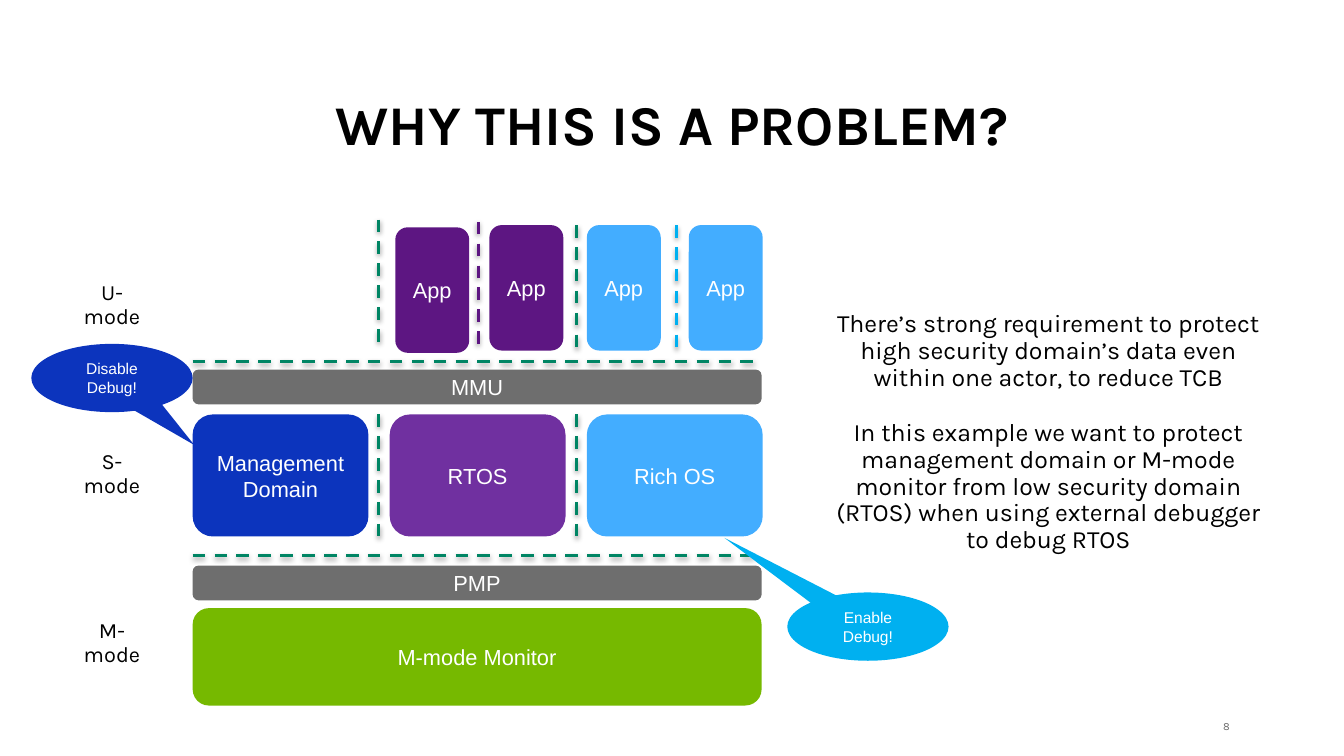
from lxml import etree
from pptx import Presentation
from pptx.dml.color import RGBColor
from pptx.enum.dml import MSO_LINE
from pptx.enum.shapes import MSO_CONNECTOR, MSO_SHAPE
from pptx.enum.text import MSO_ANCHOR, MSO_AUTO_SIZE, PP_ALIGN
from pptx.oxml.ns import qn
from pptx.util import Inches, Pt

ROUND = MSO_SHAPE.ROUNDED_RECTANGLE
BUBBLE = MSO_SHAPE.OVAL_CALLOUT
STRAIGHT = MSO_CONNECTOR.STRAIGHT
DASH = MSO_LINE.DASH
TOP, MIDDLE, BOTTOM = MSO_ANCHOR.TOP, MSO_ANCHOR.MIDDLE, MSO_ANCHOR.BOTTOM
CENTER, RIGHT = PP_ALIGN.CENTER, PP_ALIGN.RIGHT
NO_FIT = MSO_AUTO_SIZE.NONE

BLACK = RGBColor(0x00, 0x00, 0x00)
WHITE = RGBColor(0xFF, 0xFF, 0xFF)
GRAY = RGBColor(0x6E, 0x6E, 0x6E)
GREEN = RGBColor(0x76, 0xB9, 0x00)
TEAL = RGBColor(0x00, 0x85, 0x64)
BLUE = RGBColor(0x0C, 0x34, 0xBD)
SKY = RGBColor(0x43, 0xAD, 0xFF)
CYAN = RGBColor(0x00, 0xB0, 0xF0)
VIOLET = RGBColor(0x70, 0x30, 0xA0)
PLUM = RGBColor(0x5D, 0x16, 0x82)


class Board:
    head = {"name": "Karla", "size": Pt(36), "bold": True, "color": BLACK}
    prose = {"name": "Karla", "size": Pt(16), "color": BLACK}
    label = {"name": "Karla", "size": Pt(14), "color": BLACK}
    small = {"name": "Karla", "size": Pt(7), "color": GRAY}
    block = {"name": "Arial", "size": Pt(14), "color": WHITE}
    note = {"name": "Arial", "size": Pt(10), "color": WHITE}

    def __init__(self, slide):
        self.slide = slide

    def letter(self, shape, text, style, anchor=MIDDLE, align=CENTER, pitch=None, gap=0, inset=True):
        frame = shape.text_frame
        form = {"word_wrap": True, "auto_size": NO_FIT, "vertical_anchor": anchor}
        for side, size in (("left", 0.1), ("right", 0.1), ("top", 0.05), ("bottom", 0.05)):
            form[f"margin_{side}"] = Inches(size if inset else 0)
        for key, value in form.items():
            setattr(frame, key, value)
        frame.text = text
        for i, para in enumerate(frame.paragraphs):
            layout = {"alignment": align, "line_spacing": pitch, "space_before": Pt(gap if i else 0)}
            for key, value in layout.items():
                setattr(para, key, value)
            if shape.is_placeholder:
                props = para._p.get_or_add_pPr()
                props.set("marL", "0")
                props.set("indent", "0")
                etree.SubElement(props, qn("a:buNone"))
            for run in para.runs:
                for key, value in style.items():
                    if key == "color":
                        run.font.color.rgb = value
                    else:
                        setattr(run.font, key, value)

    def holder(self, index, box, text, style, anchor, gap=0):
        shape = self.slide.placeholders[index]
        for key, value in zip(("left", "top", "width", "height"), box):
            setattr(shape, key, Inches(value))
        self.letter(shape, text, style, anchor, pitch=0.9, gap=gap)

    def text(self, box, text, style, **form):
        shape = self.slide.shapes.add_textbox(*map(Inches, box))
        self.letter(shape, text, style, **form)

    def shape(self, kind, box, text, fill, style, adjust):
        shape = self.slide.shapes.add_shape(kind, *map(Inches, box))
        shape.shadow.inherit = False
        shape.fill.solid()
        shape.fill.fore_color.rgb = fill
        shape.line.fill.background()
        for i, value in enumerate(adjust):
            shape.adjustments[i] = value
        self.letter(shape, text, style)

    def card(self, box, text, fill):
        self.shape(ROUND, box, text, fill, self.block, (0.167,))

    def bubble(self, box, text, fill, tip):
        self.shape(BUBBLE, box, text, fill, self.note, tip)

    def fence(self, start, end, color):
        line = self.slide.shapes.add_connector(STRAIGHT, *map(Inches, start + end))
        line.line.color.rgb = color
        line.line.width = Pt(2)
        line.line.dash_style = DASH
        effects = etree.SubElement(line._element.spPr, qn("a:effectLst"))
        shadow = etree.SubElement(effects, qn("a:outerShdw"), blurRad="40000",
                                  dist="20000", dir="5400000", rotWithShape="0")
        shade = etree.SubElement(shadow, qn("a:srgbClr"), val="000000")
        etree.SubElement(shade, qn("a:alpha"), val="38000")


def main():
    deck = Presentation()
    deck.slide_width, deck.slide_height = Inches(12), Inches(6.75)
    board = Board(deck.slides.add_slide(deck.slide_layouts[1]))
    left, wide = 1.72, 5.08

    board.holder(0, (0.55, 0.81, 10.91, 0.65), "WHY THIS IS A PROBLEM?", board.head, BOTTOM)
    board.holder(1, (7.29, 2.73, 4.14, 2.57),
                 "There’s strong requirement to protect high security domain’s data even "
                 "within one actor, to reduce TCB\n"
                 "In this example we want to protect management domain or M-mode monitor "
                 "from low security domain (RTOS) when using external debugger to debug RTOS",
                 board.prose, TOP, gap=18)
    board.text((10.63, 6.41, 0.35, 0.15), "8", board.small, align=RIGHT, inset=False)

    for i, name in enumerate(("U-mode", "S-mode", "M-mode")):
        board.text((0.56, 2.57 + i * 1.51, 0.88, 0.31), name, board.label, pitch=0.9)

    for y in (3.23, 4.96):
        board.fence((left, y), (left + wide, y), TEAL)
    for name, y, tall, fill in (("MMU", 3.3, 0.31, GRAY), ("PMP", 5.05, 0.31, GRAY),
                                ("M-mode Monitor", 5.43, 0.87, GREEN)):
        board.card((left, y, wide, tall), name, fill)

    realms = (("Management\nDomain", BLUE), ("RTOS", VIOLET), ("Rich OS", SKY))
    for i, (name, fill) in enumerate(realms):
        board.card((left + i * 1.76, 3.7, 1.57, 1.09), name, fill)

    for x, y, fill in ((3.53, 2.03, PLUM), (4.37, 2.01, PLUM), (5.24, 2.01, SKY), (6.15, 2.01, SKY)):
        board.card((x, y, 0.66, 1.12), "App", fill)

    for x, y, color in ((3.38, 3.7, TEAL), (5.15, 3.7, TEAL), (3.38, 1.96, TEAL),
                        (4.27, 1.98, PLUM), (5.15, 2.01, TEAL), (6.04, 2.01, CYAN)):
        board.fence((x, y), (x, y + 1.17), color)

    board.bubble((0.28, 3.07, 1.44, 0.61), "Disable Debug!", BLUE, (0.51, 0.98))
    board.bubble((7.03, 5.29, 1.44, 0.61), "Enable Debug!", CYAN, (-0.89, -1.3))
    deck.save("out.pptx")


if __name__ == "__main__":
    main()
